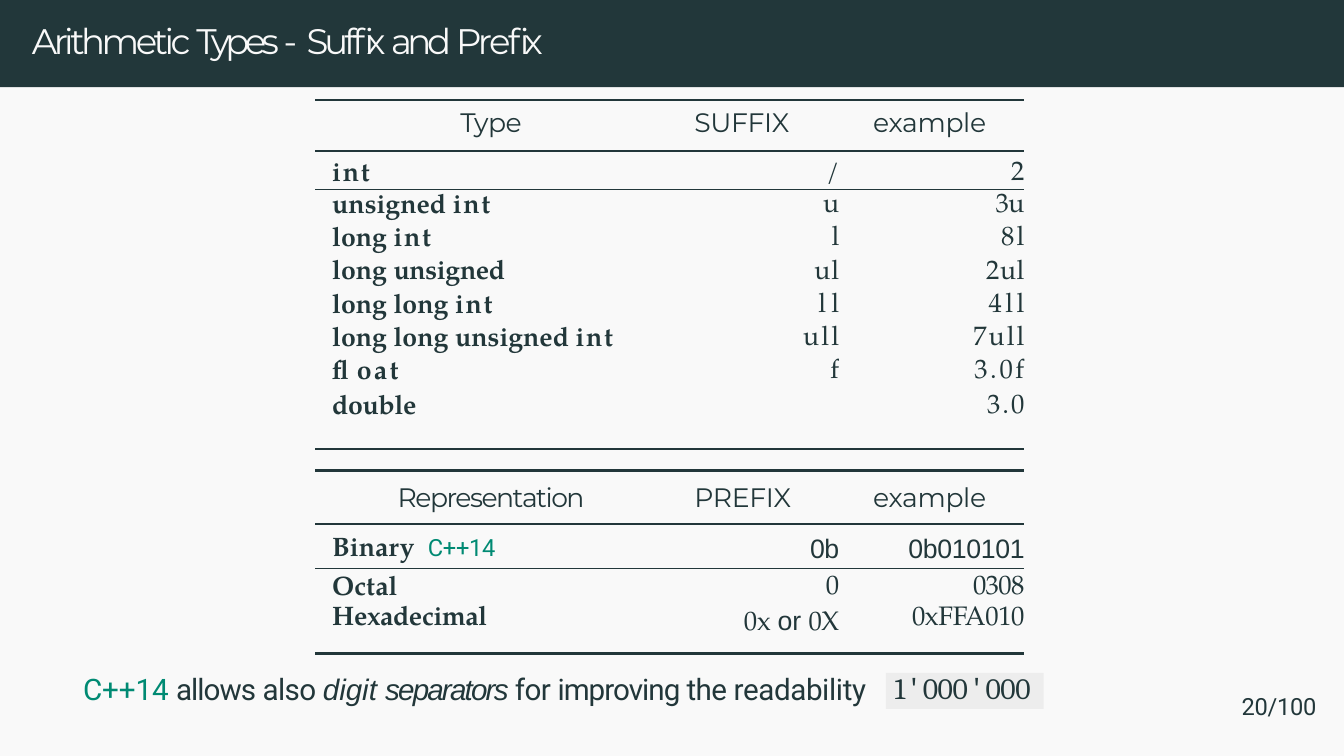
from lxml import etree
from pptx import Presentation
from pptx.dml.color import RGBColor
from pptx.enum.shapes import MSO_SHAPE
from pptx.enum.text import MSO_ANCHOR, MSO_AUTO_SIZE, PP_ALIGN
from pptx.oxml.ns import qn
from pptx.util import Inches, Pt

RECTANGLE = MSO_SHAPE.RECTANGLE
TOP = MSO_ANCHOR.TOP
NO_AUTOFIT = MSO_AUTO_SIZE.NONE
LEFT, CENTER, RIGHT = PP_ALIGN.LEFT, PP_ALIGN.CENTER, PP_ALIGN.RIGHT

COLORS = {"ink": "22373A", "paper": "F9F9F9", "accent": "008A73", "code": "EDEDED"}
SERIF, HEADING, BODY = "TeX Gyre Pagella", "Montserrat", "Roboto"
COLUMNS = (1.65, 0.81, 0.87)
HEADER_INDENTS = (0, 0.13, 0.16)

SUFFIXES = [
    ([("int", 0.6)], ("/", 0), ("2", 0)),
    ([("unsigned ", 0), ("int", 0.6)], ("u", 0), ("3u", -0.2)),
    ([("long ", 0), ("int", 0.6)], ("l", 0), ("8l", 0.8)),
    ([("long ", 0), ("unsigned", -0.1)], ("ul", 0.4), ("2ul", 0.2)),
    ([("long long ", 0), ("int", 0.6)], ("ll", 1.8), ("4ll", 1.2)),
    ([("long long unsigned ", 0), ("int", 0.6)], ("ull", 0.8), ("7ull", 0.7)),
    ([("float", 0.8)], ("f", 0), ("3.0f", 0.9)),
    ([("double", -0.1)], ("", 0), ("3.0", 0.7)),
]
TAG = {"font": BODY, "size": 8, "color": "accent", "bold": False}
ARIAL = {"font": "Arial"}
PREFIXES = [
    ([("Binary  ", 0), ("C++14", -0.1, TAG)], [("0b", -0.2, ARIAL)], [("0b010101", -0.1, ARIAL)]),
    ([("Octal", 0)], [("0", 0)], [("0308", -0.2)]),
    ([("Hexadecimal", -0.1)], [("0x ", 0), ("or ", 0, ARIAL), ("0X", -0.2)], [("0xFFA010", -0.1)]),
]


def write(paragraph, text, font=SERIF, size=9, color="ink", spacing=0, bold=False, italic=False):
    """Add one formatted run to a paragraph."""
    run = paragraph.add_run()
    run.text = text
    run.font.name, run.font.size = font, Pt(size)
    run.font.bold, run.font.italic = bold, italic
    run.font.color.rgb = RGBColor.from_string(COLORS[color])
    run._r.get_or_add_rPr().set("spc", str(round(spacing * 100)))


def set_frame(frame, left=0.01, top=0.01, before=0.9):
    """Set the margins of a text frame and return its first paragraph."""
    frame.margin_left, frame.margin_top = Inches(left), Inches(top)
    frame.margin_right = frame.margin_bottom = 0
    frame.vertical_anchor, frame.word_wrap, frame.auto_size = TOP, True, NO_AUTOFIT
    paragraph = frame.paragraphs[0]
    paragraph.alignment, paragraph.space_before = LEFT, Pt(before)
    return paragraph


def add_box(slide, left, top, width, height):
    """Add a text box and return its first paragraph."""
    box = slide.shapes.add_textbox(Inches(left), Inches(top), Inches(width), Inches(height))
    return set_frame(box.text_frame)


def add_block(slide, left, top, width, height, color):
    """Add a plain filled rectangle."""
    block = slide.shapes.add_shape(RECTANGLE, Inches(left), Inches(top), Inches(width), Inches(height))
    block.fill.solid()
    block.fill.fore_color.rgb = RGBColor.from_string(COLORS[color])
    block.line.fill.background()
    block.shadow.inherit = False
    return block


def set_borders(cell, above, below):
    """Rule a cell above and below, a width of 0 meaning no line."""
    properties = cell._tc.get_or_add_tcPr()
    for edge, width in (("lnL", 0), ("lnR", 0), ("lnT", above), ("lnB", below)):
        line = etree.SubElement(properties, qn(f"a:{edge}"), w=str(Pt(width)))
        if width:
            fill = etree.SubElement(line, qn("a:solidFill"))
            etree.SubElement(fill, qn("a:srgbClr"), val=COLORS["ink"])
        else:
            etree.SubElement(line, qn("a:noFill"))


def fill_cell(cell, runs, align, left, top, before, leading, **style):
    """Fill one table cell with its runs."""
    cell.fill.solid()
    cell.fill.fore_color.rgb = RGBColor.from_string(COLORS["paper"])
    cell.margin_left, cell.margin_top = Inches(left), Inches(top)
    cell.margin_right = cell.margin_bottom = 0
    paragraph = cell.text_frame.paragraphs[0]
    paragraph.alignment, paragraph.space_before = align, Pt(before)
    if leading:
        paragraph.line_spacing = Pt(leading)
    for text, spacing, *override in runs:
        write(paragraph, text, **{**style, "spacing": spacing, **(override[0] if override else {})})


def add_ruled_table(slide, left, top, headers, body, heights, layouts):
    """Add a table ruled at its top, header, first row and bottom."""
    count = len(heights)
    table = slide.shapes.add_table(count, len(COLUMNS), Inches(left), Inches(top),
                                   Inches(sum(COLUMNS)), Inches(sum(heights))).table
    table.first_row = table.horz_banding = False
    for column, width in zip(table.columns, COLUMNS):
        column.width = Inches(width)
    rules = [1, 0.75, 0.75] + [0] * (count - 3) + [1]
    for r, (height, layout) in enumerate(zip(heights, layouts)):
        table.rows[r].height = Inches(height)
        for c, indent in enumerate(HEADER_INDENTS):
            cell = table.cell(r, c)
            set_borders(cell, rules[r], rules[r + 1])
            if r == 0:
                fill_cell(cell, [headers[c]], LEFT if c else CENTER, indent, *layout, font=HEADING)
            else:
                content = body[r - 1][c]
                runs = content if isinstance(content, list) else [content]
                fill_cell(cell, runs, RIGHT if c else LEFT, 0 if c else 0.08, *layout, bold=c == 0)


def add_header(slide, width, height):
    """Place the title on its dark band."""
    band = add_block(slide, 0, 0, width, height, "ink")
    slide.shapes._spTree.insert(2, band._element)
    title = slide.shapes.title
    title.left, title.top, title.width, title.height = map(Inches, (0.14, 0.08, 4, 0.25))
    paragraph = set_frame(title.text_frame)
    for text, spacing in (("Arithmetic ", -1.2), ("Types ", -1.6), ("- ", 0),
                          ("Suffix ", -1.3), ("and ", -1.5), ("Prefix", -0.9)):
        write(paragraph, text, font=HEADING, size=12, color="paper", spacing=spacing)


def add_separator_note(slide, left, top):
    """Place the sentence on digit separators and its code sample."""
    sentence = add_box(slide, left, top, 3.75, 0.19)
    write(sentence, "C++14 ", font=BODY, size=10, color="accent")
    for text, font, spacing in (("allows", BODY, -0.3), (" also ", BODY, -0.2),
                                ("digit ", "Arial", 0), ("separators ", "Arial", -0.6),
                                ("for ", BODY, -0.2), ("improving ", BODY, -0.3),
                                ("the ", BODY, -0.2), ("readability", BODY, -0.1)):
        write(sentence, text, font=font, size=10, spacing=spacing, italic=font == "Arial")
    sample = add_block(slide, left + 3.78, top + 0.02, 0.74, 0.17, "code")
    code = set_frame(sample.text_frame, left=0.04, top=0, before=0)
    code.line_spacing = Pt(11.2)
    for text in ("1", "'", "000", "'", "000"):
        write(code, text, font="Noto Sans Mono" if text == "'" else "Cambria", size=10, spacing=-0.1)


def main():
    """Build the slide and save it."""
    deck = Presentation()
    deck.slide_width, deck.slide_height = Inches(6.31), Inches(3.55)
    slide = deck.slides.add_slide(deck.slide_layouts[5])
    slide.background.fill.solid()
    slide.background.fill.fore_color.rgb = RGBColor.from_string(COLORS["paper"])
    add_header(slide, 6.31, 0.41)
    add_ruled_table(slide, 1.48, 0.47, [("Type", -0.2), ("SUFFIX", -0.1), ("example", -0.1)], SUFFIXES,
                    [0.24, 0.18] + [0.94 / 6] * 6 + [0.21],
                    [(0.03, 2.5, None), (0.03, 2.4, 10.4)] + [(0, 0, 10.3)] * 6 + [(0, 0, 10.7)])
    add_ruled_table(slide, 1.48, 2.21, [("Representation", -0.5), ("PREFIX", -0.1), ("example", -0.1)],
                    PREFIXES, [0.25, 0.21, 0.17, 0.23],
                    [(0.05, 3.4, None), (0.05, 3.2, None), (0.01, 0.6, 10.6), (0.01, 1.1, None)])
    add_separator_note(slide, 0.38, 3.14)
    write(add_box(slide, 5.82, 3.24, 0.4, 0.16), "20/100", font=BODY, size=8, spacing=-0.1)
    deck.save("out.pptx")


if __name__ == "__main__":
    main()
